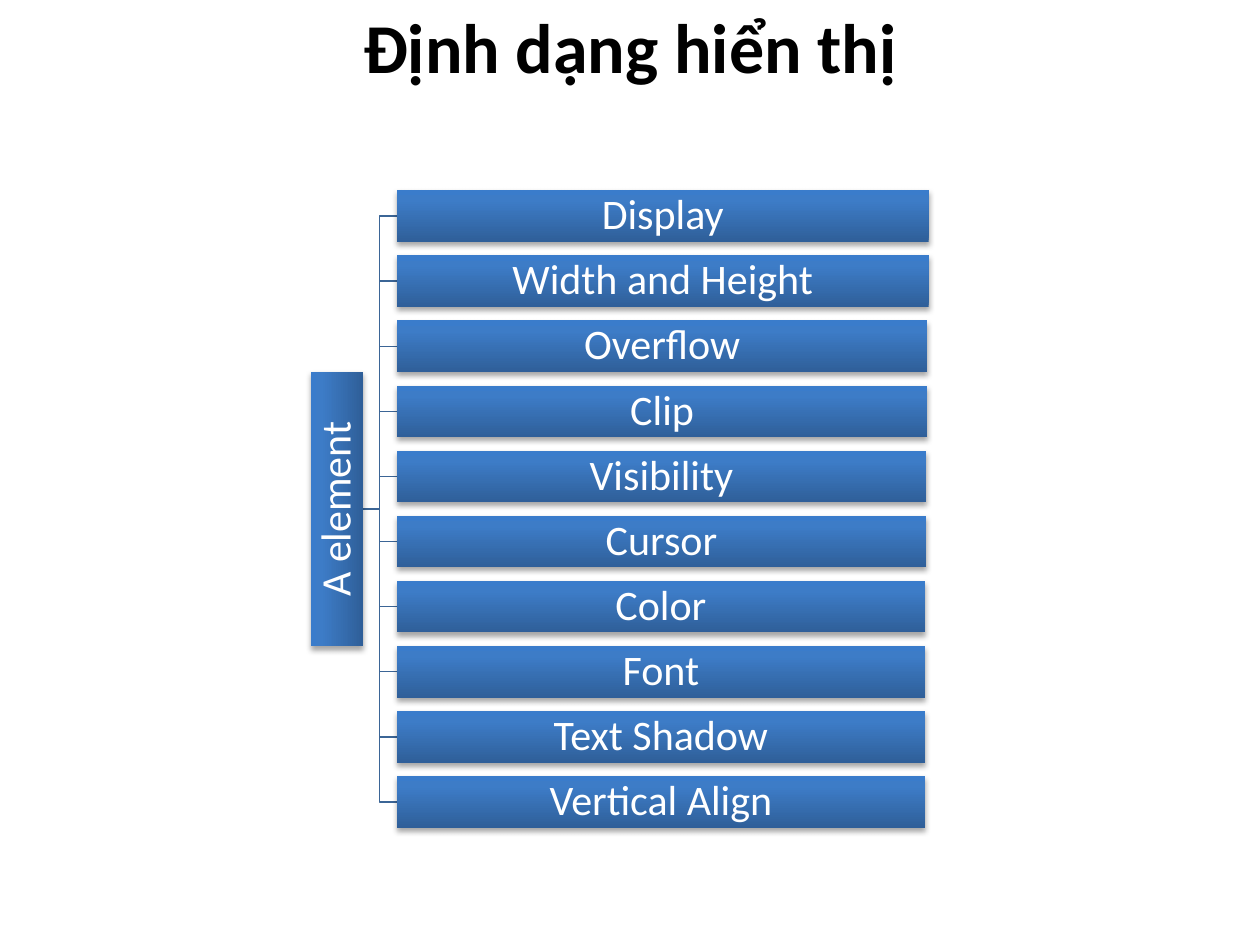
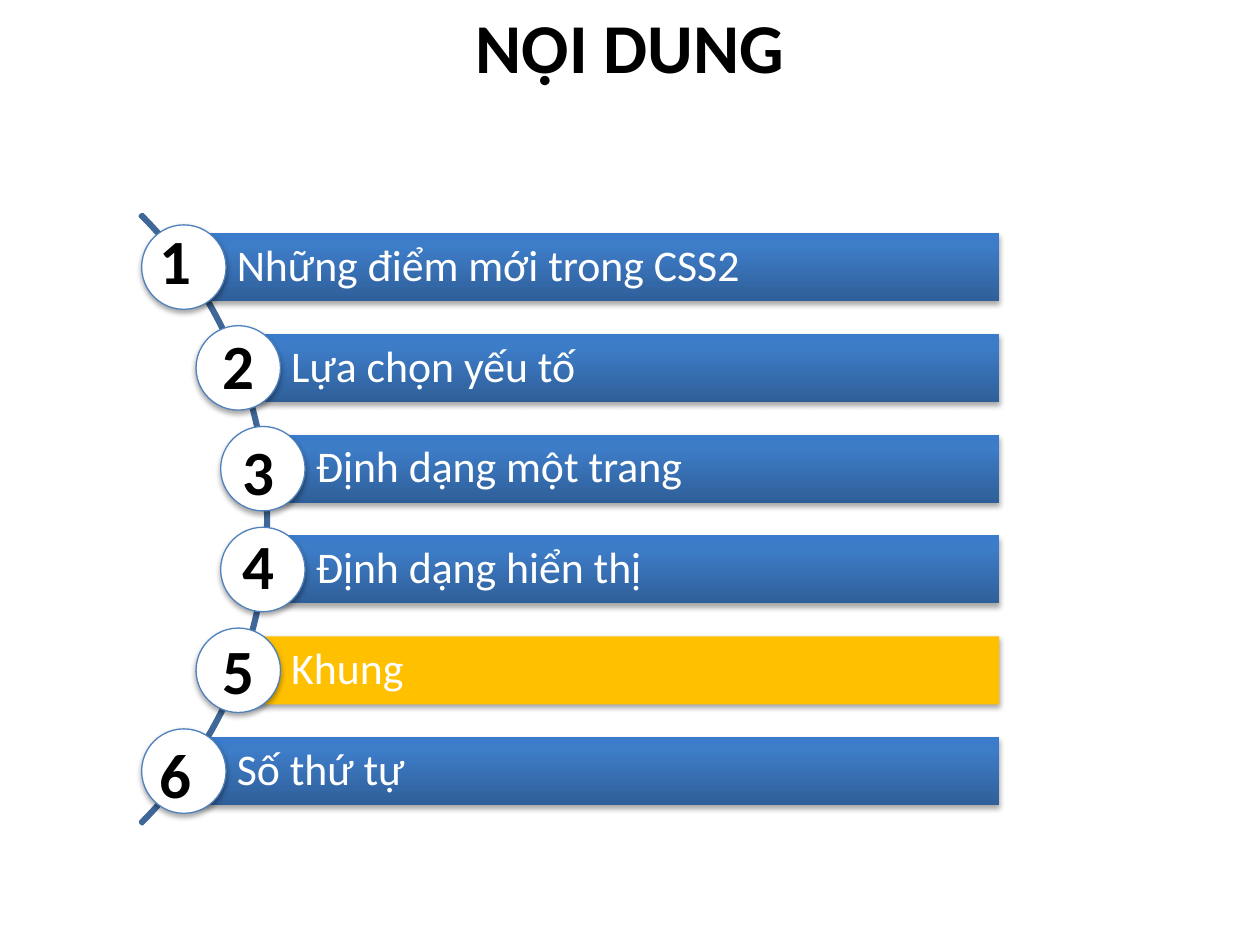
from copy import deepcopy
from dataclasses import dataclass
from math import sqrt

from lxml import etree
from pptx import Presentation
from pptx.dml.color import RGBColor
from pptx.enum.shapes import MSO_CONNECTOR, MSO_SHAPE
from pptx.enum.text import MSO_ANCHOR, PP_ALIGN
from pptx.oxml.ns import qn
from pptx.util import Inches, Pt

RECTANGLE, ELLIPSE, BLOCK_ARC = MSO_SHAPE.RECTANGLE, MSO_SHAPE.OVAL, MSO_SHAPE.BLOCK_ARC
ELBOW = MSO_CONNECTOR.ELBOW
LEFT, CENTER, MIDDLE = PP_ALIGN.LEFT, PP_ALIGN.CENTER, MSO_ANCHOR.MIDDLE
TITLE_ONLY = 5


@dataclass(frozen=True)
class Theme:
    font: str = "Calibri"
    black: RGBColor = RGBColor.from_string("000000")
    white: RGBColor = RGBColor.from_string("FFFFFF")
    highlight: RGBColor = RGBColor.from_string("FFC000")
    bracket: RGBColor = RGBColor.from_string("3B6596")
    arc: RGBColor = RGBColor.from_string("3F6797")
    ring: RGBColor = RGBColor.from_string("4F81BD")
    gradient: tuple = ((0, "2F5F99"), (0.8, "3D7CC7"), (1, "3A7CCB"))
    title_size: int = 40
    number_size: int = 36
    agenda_size: int = 25
    property_size: int = 24


THEME = Theme()


def cast_shadow(shape):
    shape.shadow.inherit = False
    effects = shape._element.spPr.find(qn("a:effectLst"))
    shadow = etree.SubElement(effects, qn("a:outerShdw"), blurRad="40000",
                              dist="23000", dir="5400000", rotWithShape="0")
    color = etree.SubElement(shadow, qn("a:srgbClr"), val="000000")
    etree.SubElement(color, qn("a:alpha"), val="35000")


def add_bar(slide, box, text, size, alignment, margins, solid=None):
    """Add a shadowed bar with white text; its fill is the gradient unless solid is given."""
    bar = slide.shapes.add_shape(RECTANGLE, *map(Inches, box))
    if solid:
        bar.fill.solid()
        bar.fill.fore_color.rgb = solid
    else:
        bar.fill.gradient()
        bar.fill.gradient_angle = 90
        stops = bar._element.spPr.find(f".//{qn('a:gsLst')}")
        stops.append(deepcopy(stops[0]))
        for stop, (position, color) in zip(bar.fill.gradient_stops, THEME.gradient):
            stop.position = position
            stop.color.rgb = RGBColor.from_string(color)
    bar.line.fill.background()
    cast_shadow(bar)
    frame = bar.text_frame
    frame.word_wrap = True
    frame.vertical_anchor = MIDDLE
    for side, margin in margins.items():
        setattr(frame, f"margin_{side}", Inches(margin))
    paragraph = frame.paragraphs[0]
    paragraph.alignment = alignment
    paragraph.line_spacing = 0.9
    run = paragraph.add_run()
    run.text = text
    run.font.name, run.font.size = THEME.font, Pt(size)
    run.font.color.rgb = THEME.white
    return bar


presentation = Presentation()
presentation.slide_width, presentation.slide_height = Inches(10), Inches(7.5)

slides = []
for heading in ("Định dạng hiển thị", "NỘI DUNG"):
    slide = presentation.slides.add_slide(presentation.slide_layouts[TITLE_ONLY])
    title = slide.shapes.title
    title.left, title.top = 0, Inches(-0.02)
    title.width, title.height = presentation.slide_width, Inches(0.77)
    title.text_frame.text = heading
    paragraph = title.text_frame.paragraphs[0]
    paragraph.alignment = CENTER
    font = paragraph.runs[0].font
    font.name, font.size, font.bold = THEME.font, Pt(THEME.title_size), True
    font.color.rgb = THEME.black
    slides.append(slide)
properties_slide, agenda_slide = slides

# Display properties: one upright root bar with a bracket to each property
PROPERTIES = ("Display", "Width and Height", "Overflow", "Clip", "Visibility",
              "Cursor", "Color", "Font", "Text Shadow", "Vertical Align")
BAR_LEFT, BAR_TOP, BAR_HEIGHT = 3.15, 1.51, 0.41
ROW_STEP = 4.65 / (len(PROPERTIES) - 1)
ROOT_RIGHT, ROOT_MIDDLE, ROOT_LENGTH = 2.88, 4.04, 2.18
NARROW = dict.fromkeys(("left", "top", "right", "bottom"), 0.02)

row_tops = [BAR_TOP + row * ROW_STEP for row in range(len(PROPERTIES))]
for top in row_tops:
    bracket = properties_slide.shapes.add_connector(
        ELBOW, Inches(ROOT_RIGHT), Inches(ROOT_MIDDLE),
        Inches(BAR_LEFT), Inches(top + BAR_HEIGHT / 2))
    bracket.line.color.rgb = THEME.bracket
    bracket.line.width = Pt(0.75)
    etree.SubElement(bracket._element.spPr, qn("a:effectLst"))

root_box = (ROOT_RIGHT - (BAR_HEIGHT + ROOT_LENGTH) / 2, ROOT_MIDDLE - BAR_HEIGHT / 2,
            ROOT_LENGTH, BAR_HEIGHT)
root = add_bar(properties_slide, root_box, "A element", THEME.property_size, CENTER, NARROW)
root.rotation = 270
for row, (top, name) in enumerate(zip(row_tops, PROPERTIES)):
    width = max(4.19, 4.22 - 0.01 * (row // 2))
    add_bar(properties_slide, (BAR_LEFT, top, width, BAR_HEIGHT), name,
            THEME.property_size, CENTER, NARROW)

# Agenda: numbered circles follow an arc, bars end at a common right edge
AGENDA = (  # text, left and top of its number
    ("Những điểm mới trong CSS2", 1.17, 1.71),
    ("Lựa chọn yếu tố", 1.67, 2.54),
    ("Định dạng một trang", 1.83, 3.38),
    ("Định dạng hiển thị", 1.83, 4.13),
    ("Khung", 1.67, 4.96),
    ("Số thứ tự", 1.17, 5.79),
)
CURRENT = "Khung"
ARC_X, ARC_Y, ARC_SIZE, ORBIT = -1.29, 4.12, 6.84, 3.4
AGENDA_STEP, AGENDA_HEIGHT, AGENDA_RIGHT, CIRCLE = 0.8, 0.54, 7.93, 0.67
INDENTED = {"left": 0.42, "top": 0.07, "right": 0.07, "bottom": 0.07}

arc = agenda_slide.shapes.add_shape(
    BLOCK_ARC, Inches(ARC_X - ARC_SIZE / 2), Inches(ARC_Y - ARC_SIZE / 2),
    Inches(ARC_SIZE), Inches(ARC_SIZE))
for index, adjustment in enumerate((189, 27, 0.003)):
    arc.adjustments[index] = adjustment
arc.fill.background()
arc.line.color.rgb = THEME.arc
arc.line.width = Pt(2)
arc.shadow.inherit = False

for row, (text, number_left, number_top) in enumerate(AGENDA):
    rise = (row - (len(AGENDA) - 1) / 2) * AGENDA_STEP
    center_x, center_y = ARC_X + sqrt(ORBIT ** 2 - rise ** 2), ARC_Y + rise
    add_bar(agenda_slide,
            (center_x, center_y - AGENDA_HEIGHT / 2, AGENDA_RIGHT - center_x, AGENDA_HEIGHT),
            text, THEME.agenda_size, LEFT, INDENTED,
            THEME.highlight if text == CURRENT else None)
    circle = agenda_slide.shapes.add_shape(
        ELLIPSE, Inches(center_x - CIRCLE / 2), Inches(center_y - CIRCLE / 2),
        Inches(CIRCLE), Inches(CIRCLE))
    circle.fill.solid()
    circle.fill.fore_color.rgb = THEME.white
    circle.line.color.rgb = THEME.ring
    circle.line.width = Pt(0.75)
    cast_shadow(circle)

    number = agenda_slide.shapes.add_textbox(
        Inches(number_left), Inches(number_top), Inches(0.5), Inches(0.71))
    number.text_frame.word_wrap = True
    run = number.text_frame.paragraphs[0].add_run()
    run.text = str(row + 1)
    run.font.name, run.font.size, run.font.bold = THEME.font, Pt(THEME.number_size), True
    run.font.color.rgb = THEME.black

presentation.save("out.pptx")
